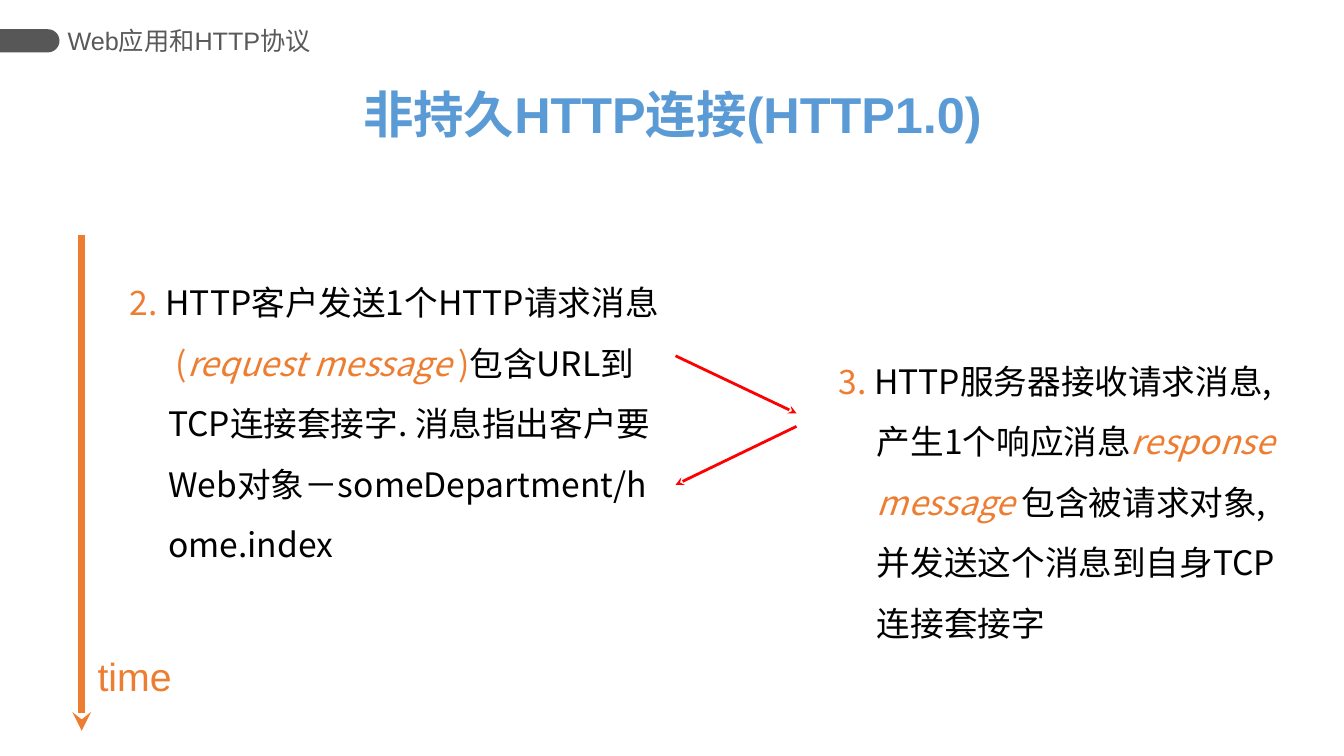
import pptx
import pptx.util
import pptx.dml.color
import pptx.enum.shapes
import pptx.enum.text
import pptx.oxml.ns
from lxml import etree

EMU_PER_PX = 9144
COLORS = {"bar": "575757", "header": "595959", "title": "5B9BD5",
          "accent": "ED7D31", "text": "000000", "message": "FF0000"}
LATIN = "Arial"
CJK = "Noto Sans CJK SC"


def px(n):
    return pptx.util.Emu(n * EMU_PER_PX)


def rgb(name):
    return pptx.dml.color.RGBColor.from_string(COLORS[name])


def add_xml(parent, tag, **attrs):
    return etree.SubElement(parent, pptx.oxml.ns.qn(tag), attrs)


class SlideBuilder:
    def __init__(self, prs):
        self.s = prs.slides.add_slide(prs.slide_layouts[6])

    def tab(self, left, top, width, height, color):
        sp = self.s.shapes.add_shape(
            pptx.enum.shapes.MSO_SHAPE.ROUND_2_SAME_RECTANGLE,
            px(left + (width - height) // 2), px(top - (width - height) // 2),
            px(height), px(width))
        sp.rotation = 90
        sp.adjustments[0] = 0.5
        sp.shadow.inherit = False
        sp.fill.solid()
        sp.fill.fore_color.rgb = rgb(color)
        sp.line.fill.background()

    def text(self, box, runs, size, font=LATIN, bold=False, center=False,
             middle=False, spacing=None, hanging=0, inset=10, wrap=True):
        sp = self.s.shapes.add_textbox(*map(px, box))
        tf = sp.text_frame
        tf.word_wrap = wrap
        tf.margin_left = tf.margin_right = px(inset)
        tf.margin_top = tf.margin_bottom = px(5)
        if middle:
            tf.vertical_anchor = pptx.enum.text.MSO_ANCHOR.MIDDLE
        p = tf.paragraphs[0]
        if center:
            p.alignment = pptx.enum.text.PP_ALIGN.CENTER
        if spacing:
            p.line_spacing = spacing
        if hanging:
            pPr = p._p.get_or_add_pPr()
            pPr.set("marL", str(px(hanging)))
            pPr.set("indent", str(-px(hanging)))
        p.font.size = pptx.util.Pt(size)
        p.font.name = font
        p.font.bold = bold
        for words, color, italic in runs:
            r = p.add_run()
            r.text = words
            r.font.color.rgb = rgb(color)
            r.font.italic = italic
            add_xml(r._r.get_or_add_rPr(), "a:ea", typeface=CJK)

    def step(self, box, runs):
        self.text(box, runs, 24, font=CJK, spacing=1.5, hanging=38)

    def arrow(self, start, end, color, width):
        c = self.s.shapes.add_connector(
            pptx.enum.shapes.MSO_CONNECTOR.STRAIGHT, *map(px, start + end))
        c.line.color.rgb = rgb(color)
        c.line.width = pptx.util.Pt(width)
        add_xml(c.line._get_or_add_ln(), "a:tailEnd", type="stealth")
        add_xml(c._element.spPr, "a:effectLst")


def main():
    prs = pptx.Presentation()
    prs.slide_width, prs.slide_height = px(1333), px(750)
    b = SlideBuilder(prs)

    b.tab(0, 29, 59, 23, "bar")
    b.text((67, 19, 263, 42), [("Web应用和HTTP协议", "header", False)], 18,
           middle=True, inset=0)
    b.text((347, 78, 640, 71), [("非持久HTTP连接(HTTP1.0)", "title", False)], 36,
           bold=True, center=True)

    b.step((119, 255, 547, 164), [
        ("2. ", "accent", False),
        ("HTTP客户发送1个HTTP请求消息  ", "text", False),
        ("(", "accent", False),
        ("request message ", "accent", True),
        (")", "accent", False),
        ("包含URL到TCP连接套接字. 消息指出客户要Web对象－someDepartment/home.index",
         "text", False)])
    b.step((822, 333, 473, 197), [
        ("3.", "accent", False),
        (" HTTP服务器接收请求消息, 产生1个响应消息", "text", False),
        ("response message ", "accent", True),
        ("包含被请求对象, 并发送这个消息到自身TCP连接套接字", "text", False)])

    b.arrow((670, 353), (790, 410), "message", 2)
    b.arrow((790, 423), (670, 481), "message", 2)
    b.arrow((81, 233), (81, 725), "accent", 4.5)
    b.text((86, 619, 95, 81), [("time", "accent", False)], 28,
           center=True, spacing=1.5, wrap=False)

    prs.save("out.pptx")


if __name__ == "__main__":
    main()
